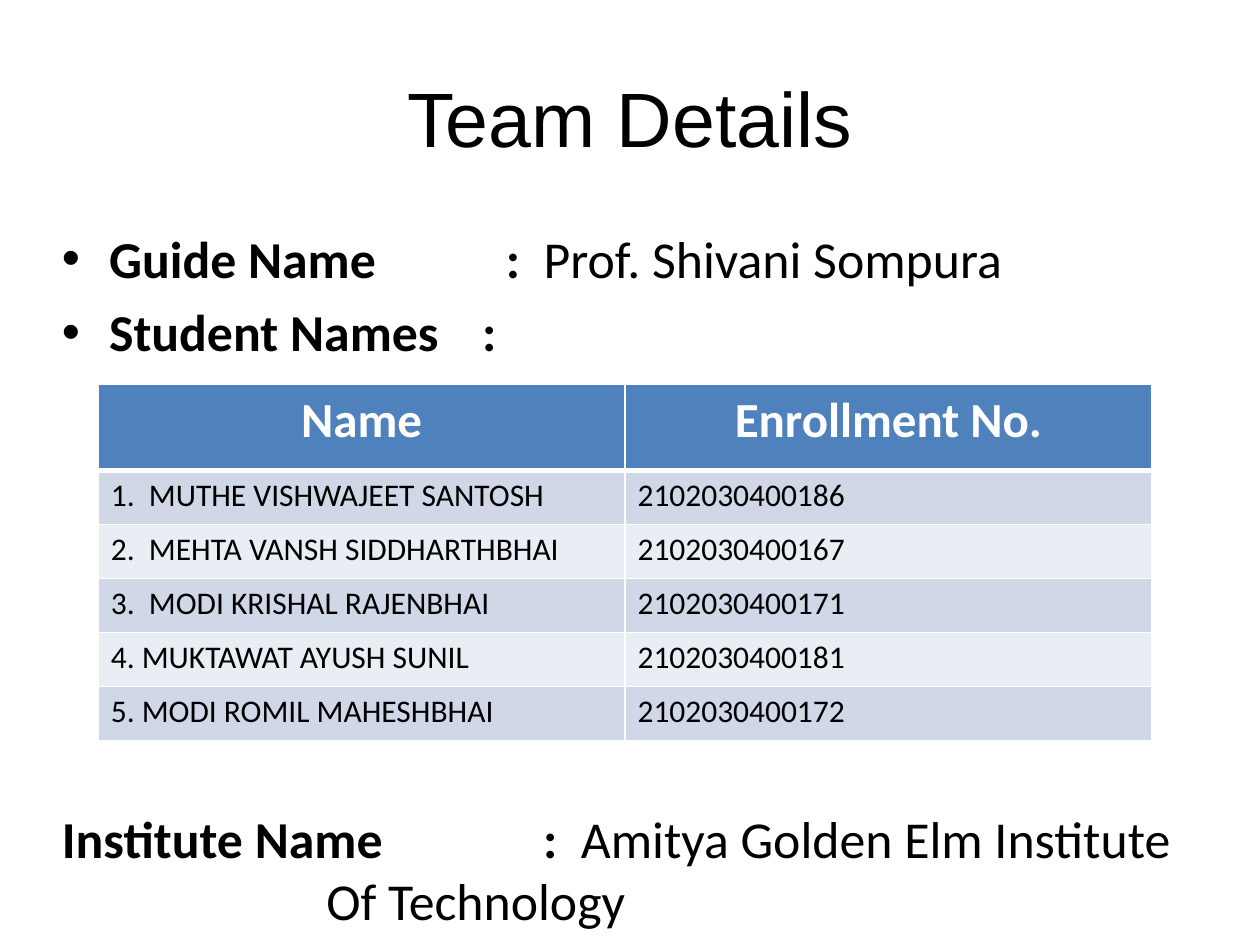
from lxml.etree import SubElement
from pptx import Presentation
from pptx.dml.color import RGBColor
from pptx.enum.text import MSO_ANCHOR, PP_ALIGN
from pptx.oxml.ns import qn
from pptx.util import Cm, Pt

COLORS = {
    "text": "000000",
    "white": "FFFFFF",
    "header": "4F81BD",
    "odd": "D0D8E8",
    "even": "E9EDF4",
}
STUDENTS = [
    ("1.  MUTHE VISHWAJEET SANTOSH", "2102030400186"),
    ("2.  MEHTA VANSH SIDDHARTHBHAI", "2102030400167"),
    ("3.  MODI KRISHAL RAJENBHAI", "2102030400171"),
    ("4. MUKTAWAT AYUSH SUNIL", "2102030400181"),
    ("5. MODI ROMIL MAHESHBHAI", "2102030400172"),
]


class SlideBuilder:
    body_font = "Calibri"
    body_size = 29.6
    left = 1.25
    right = 24.1

    def __init__(self, slide):
        self.slide = slide

    def color(self, name):
        return RGBColor.from_string(COLORS[name])

    def style(self, font, size, color="text", name=None, bold=False):
        font.name = name or self.body_font
        font.size = Pt(size)
        font.bold = bold
        font.color.rgb = self.color(color)

    def text_box(self, left, top, width, height):
        """Add a wrapping box without margins and return its text frame."""
        box = self.slide.shapes.add_textbox(Cm(left), Cm(top), Cm(width), Cm(height))
        frame = box.text_frame
        frame.word_wrap = True
        frame.margin_left = frame.margin_right = 0
        frame.margin_top = frame.margin_bottom = 0
        return frame

    def title(self, text):
        frame = self.text_box(1.27, 0.76, 22.86, 3.18)
        frame.vertical_anchor = MSO_ANCHOR.MIDDLE
        heading = frame.paragraphs[0]
        heading.text = text
        heading.alignment = PP_ALIGN.CENTER
        self.style(heading.font, 44, name="Arial")

    def label(self, text, top, bullet=False):
        label = self.text_box(self.left, top, 8.4, 1.3).paragraphs[0]
        label.text = text
        self.style(label.font, self.body_size, bold=True)
        if bullet:
            properties = label._p.get_or_add_pPr()
            properties.set("marL", str(Cm(0.95)))
            properties.set("indent", str(-Cm(0.95)))
            SubElement(properties, qn("a:buFont"), typeface="Arial")
            SubElement(properties, qn("a:buChar"), char="•")

    def value(self, text, left, top, first_indent=0, lines=1):
        """Add a bold colon and its value; first_indent moves only the first line."""
        frame = self.text_box(left, top, self.right - left, 1.3 * lines)
        value = frame.paragraphs[0]
        value.text = ":" + (f"  {text}" if text else "")
        if text:
            value.text = ""
            colon = value.add_run()
            colon.text = ":  "
            colon.font.bold = True
            for number, line in enumerate(text.split("\n")):
                if number:
                    value.add_line_break()
                value.add_run().text = line
        self.style(value.font, self.body_size, bold=not text)
        if first_indent:
            properties = value._p.get_or_add_pPr()
            properties.set("marL", "0")
            properties.set("indent", str(Cm(first_indent)))

    def borders(self, cell, bottom):
        properties = cell._tc.get_or_add_tcPr()
        widths = {"a:lnL": 1, "a:lnR": 1, "a:lnT": 1, "a:lnB": bottom}
        for position, (side, width) in enumerate(widths.items()):
            line = SubElement(properties, qn(side), w=str(Pt(width)))
            fill = SubElement(line, qn("a:solidFill"))
            SubElement(fill, qn("a:srgbClr"), val=COLORS["white"])
            properties.insert(position, line)

    def table(self, header, rows, left, top, column_width, header_height, row_height):
        height = header_height + row_height * len(rows)
        table = self.slide.shapes.add_table(
            len(rows) + 1, len(header), Cm(left), Cm(top),
            Cm(column_width * len(header)), Cm(height)).table
        for column in table.columns:
            column.width = Cm(column_width)
        for r, texts in enumerate([header, *rows]):
            is_header = r == 0
            table.rows[r].height = Cm(header_height if is_header else row_height)
            fill = "header" if is_header else ("even", "odd")[r % 2]
            for c, text in enumerate(texts):
                cell = table.cell(r, c)
                cell.fill.solid()
                cell.fill.fore_color.rgb = self.color(fill)
                self.borders(cell, bottom=3 if is_header else 1)
                entry = cell.text_frame.paragraphs[0]
                entry.text = text
                if is_header:
                    entry.alignment = PP_ALIGN.CENTER
                    self.style(entry.font, 28, "white", bold=True)
                else:
                    self.style(entry.font, 18)


def main():
    deck = Presentation()
    deck.slide_width, deck.slide_height = Cm(25.4), Cm(19.05)
    builder = SlideBuilder(deck.slides.add_slide(deck.slide_layouts[6]))

    builder.title("Team Details")
    guide_top, students_top, institute_top = 4.57, 6.05, 16.26
    builder.label("Guide Name", guide_top, bullet=True)
    builder.value("Prof. Shivani Sompura", 10.2, guide_top)
    builder.label("Student Names", students_top, bullet=True)
    builder.value("", 9.72, students_top)
    builder.table(("Name", "Enrollment No."), STUDENTS, left=1.98, top=7.75,
                  column_width=10.62, header_height=1.73, row_height=1.09)
    builder.label("Institute Name", institute_top)
    builder.value("Amitya Golden Elm Institute\nOf Technology", 6.58, institute_top,
                  first_indent=4.37, lines=2)
    deck.save("out.pptx")


if __name__ == "__main__":
    main()
